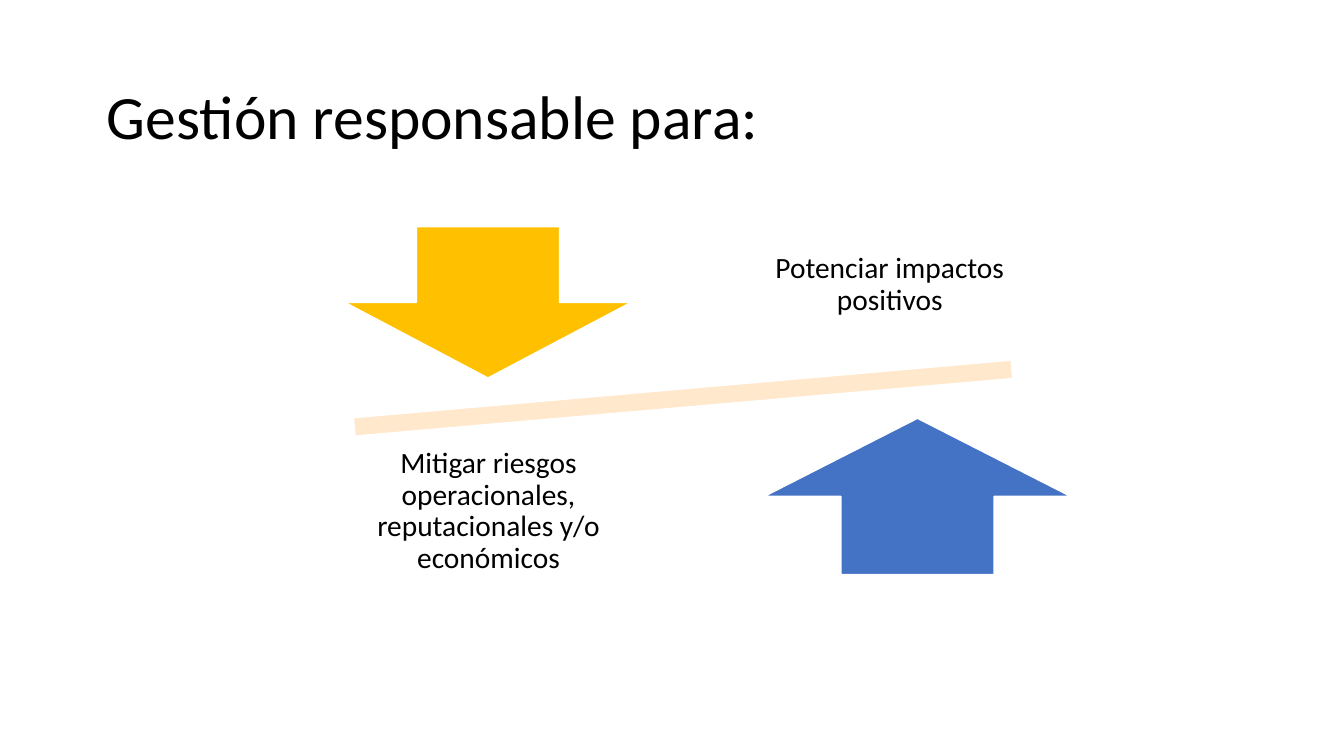
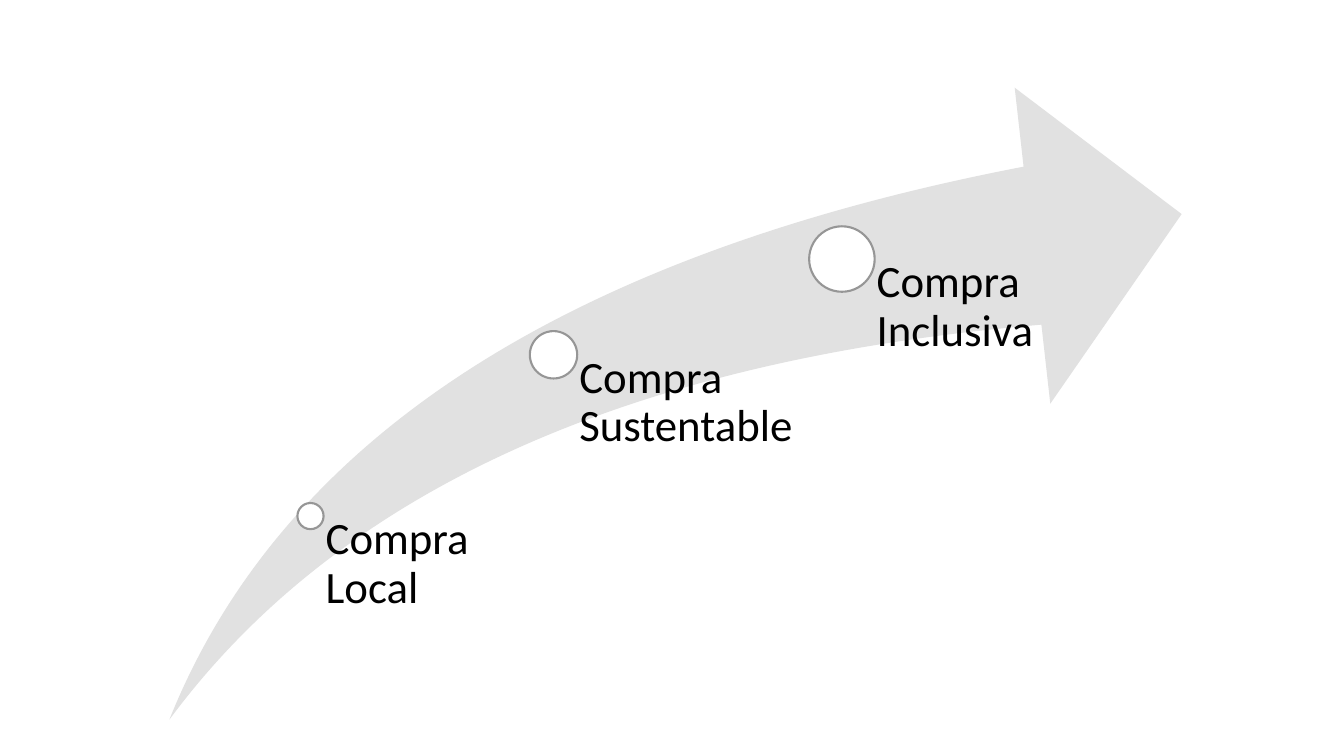
from pptx import Presentation
from pptx.dml.color import RGBColor
from pptx.enum.shapes import MSO_SHAPE as Shape
from pptx.enum.text import MSO_ANCHOR as Anchor, MSO_AUTO_SIZE as AutoSize, PP_ALIGN as Align
from pptx.util import Inches, Pt

FONT = "Calibri"
BLACK, WHITE = "000000", "FFFFFF"
AMBER, BLUE, CREAM = "FFC000", "4472C4", "FFE8CC"
PALE_GRAY, MID_GRAY = "E1E1E1", "969696"
TITLE_ONLY, BLANK = 5, 6


def color(hex_code):
    return RGBColor.from_string(hex_code)


def inches(box):
    return [Inches(length) for length in box]


def add_figure(page, kind, box, fill, line=None, weight=1):
    figure = page.shapes.add_shape(kind, *inches(box))
    figure.shadow.inherit = False
    figure.fill.solid()
    figure.fill.fore_color.rgb = color(fill)
    if line:
        figure.line.color.rgb = color(line)
        figure.line.width = Pt(weight)
    else:
        figure.line.fill.background()
    return figure


def write(frame, text, size, align, anchor, insets):
    """Fill a text frame; insets run left, top, right, bottom."""
    frame.word_wrap = True
    frame.auto_size = AutoSize.NONE
    frame.vertical_anchor = anchor
    (frame.margin_left, frame.margin_top,
     frame.margin_right, frame.margin_bottom) = inches(insets)
    para = frame.paragraphs[0]
    para.alignment = align
    para.line_spacing = 0.9
    span = para.add_run()
    span.text = text
    span.font.name = FONT
    span.font.size = Pt(size)
    span.font.color.rgb = color(BLACK)


def add_label(page, box, text, size, align, anchor, insets):
    label = page.shapes.add_textbox(*inches(box))
    write(label.text_frame, text, size, align, anchor, insets)


def add_title(page, box, text):
    title = page.shapes.title
    title.left, title.top, title.width, title.height = inches(box)
    write(title.text_frame, text, 44, Align.LEFT, Anchor.MIDDLE, (0.1, 0.05, 0.1, 0.05))


def add_balance(page, box):
    """Tilted bar with an arrow and a label on each side."""
    left, top, width, height = box
    bar_height = 0.78
    bar = add_figure(page, Shape.MATH_MINUS,
                     (left, top + (height - bar_height) / 2, width, bar_height),
                     CREAM, WHITE)
    bar.rotation = 355

    # Arrows pressing on the bar from above and below
    add_figure(page, Shape.DOWN_ARROW, (left + 1.1, top + 0.24, 2.84, 1.5), AMBER, WHITE)
    add_figure(page, Shape.UP_ARROW, (left + 5.26, top + 2.14, 3.04, 1.55), BLUE, WHITE)

    # Labels at opposite corners
    label_width, label_height = 3.25, 1.63
    labels = [
        (4.88, 0, "Potenciar impactos positivos"),
        (0.9, height - label_height,
         "Mitigar riesgos operacionales, reputacionales y/o económicos"),
    ]
    for x, y, text in labels:
        add_label(page, (left + x, top + y, label_width, label_height),
                  text, 21, Align.CENTER, Anchor.MIDDLE, [0.16] * 4)


def add_growth_path(page, box):
    """Rising arrow with growing milestones, each labelled from its centre."""
    left, top, width, height = box
    arrow = add_figure(page, Shape.SWOOSH_ARROW, box, PALE_GRAY)
    arrow.adjustments[0] = arrow.adjustments[1] = 0.25

    # Centre offsets, diameter, label width, text
    milestones = [
        (1.4, 4.25, 0.26, 2.34, "Compra Local"),
        (3.81, 2.65, 0.47, 2.41, "Compra Sustentable"),
        (6.67, 1.7, 0.65, 2.41, "Compra Inclusiva"),
    ]
    label_bottom = top + height - 0.21
    for x, y, diameter, label_width, text in milestones:
        center_x, center_y, radius = left + x, top + y, diameter / 2
        add_figure(page, Shape.OVAL,
                   (center_x - radius, center_y - radius, diameter, diameter),
                   WHITE, MID_GRAY, 1.5)
        add_label(page, (center_x, center_y, label_width, label_bottom - center_y),
                  text, 32, Align.LEFT, Anchor.TOP, (radius + 0.02, 0, 0, 0))


def main():
    deck = Presentation()
    deck.slide_width, deck.slide_height = Inches(13.33), Inches(7.5)

    # Slide 1: responsible management
    page = deck.slides.add_slide(deck.slide_layouts[TITLE_ONLY])
    add_title(page, (0.96, 0.56, 12, 1.25), "Gestión responsable para:")
    add_balance(page, (2.32, 2.01, 8.91, 3.88))

    # Slide 2: purchasing path
    page = deck.slides.add_slide(deck.slide_layouts[BLANK])
    add_growth_path(page, (1.68, 0.87, 10.04, 6.27))

    deck.save("out.pptx")


if __name__ == "__main__":
    main()
